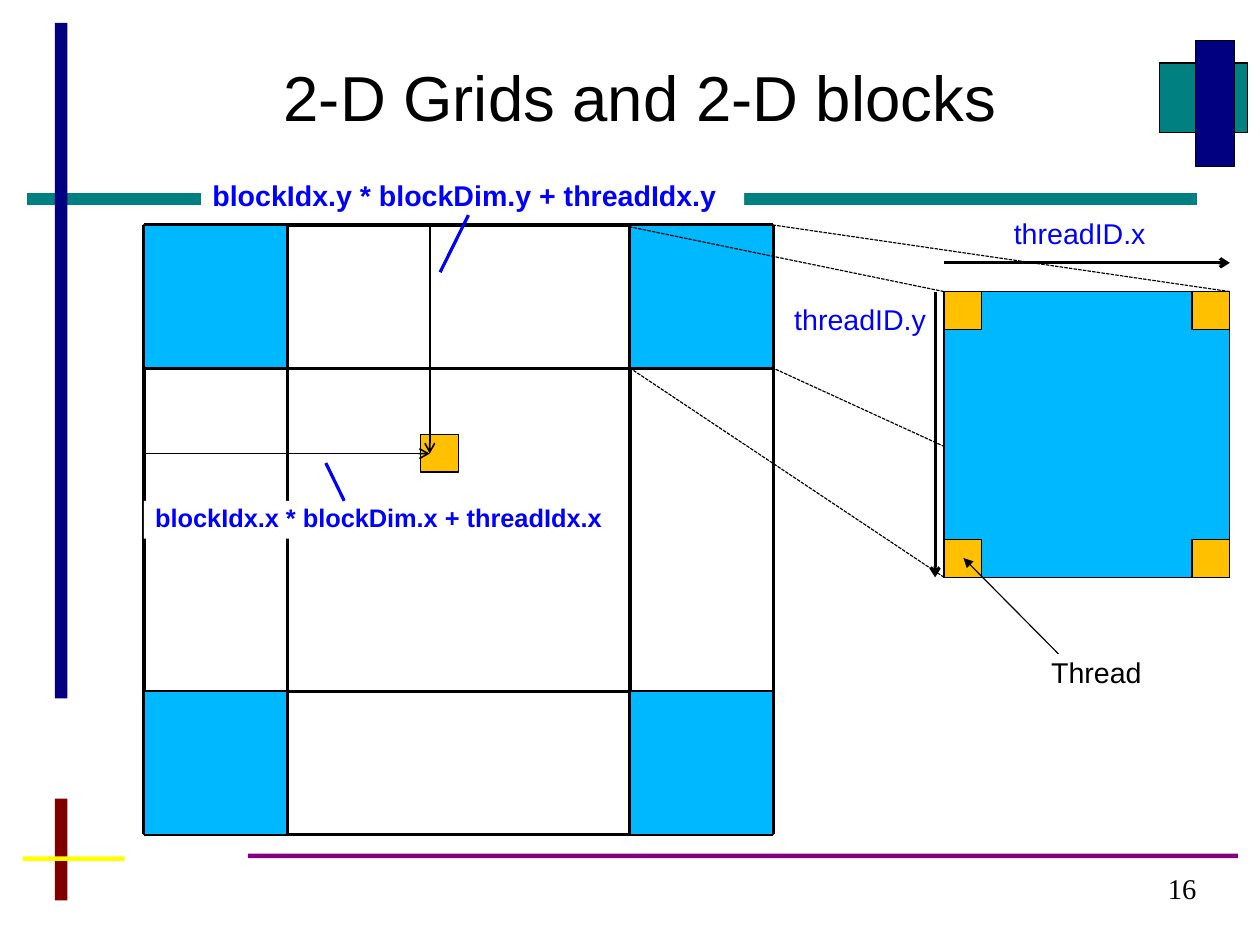
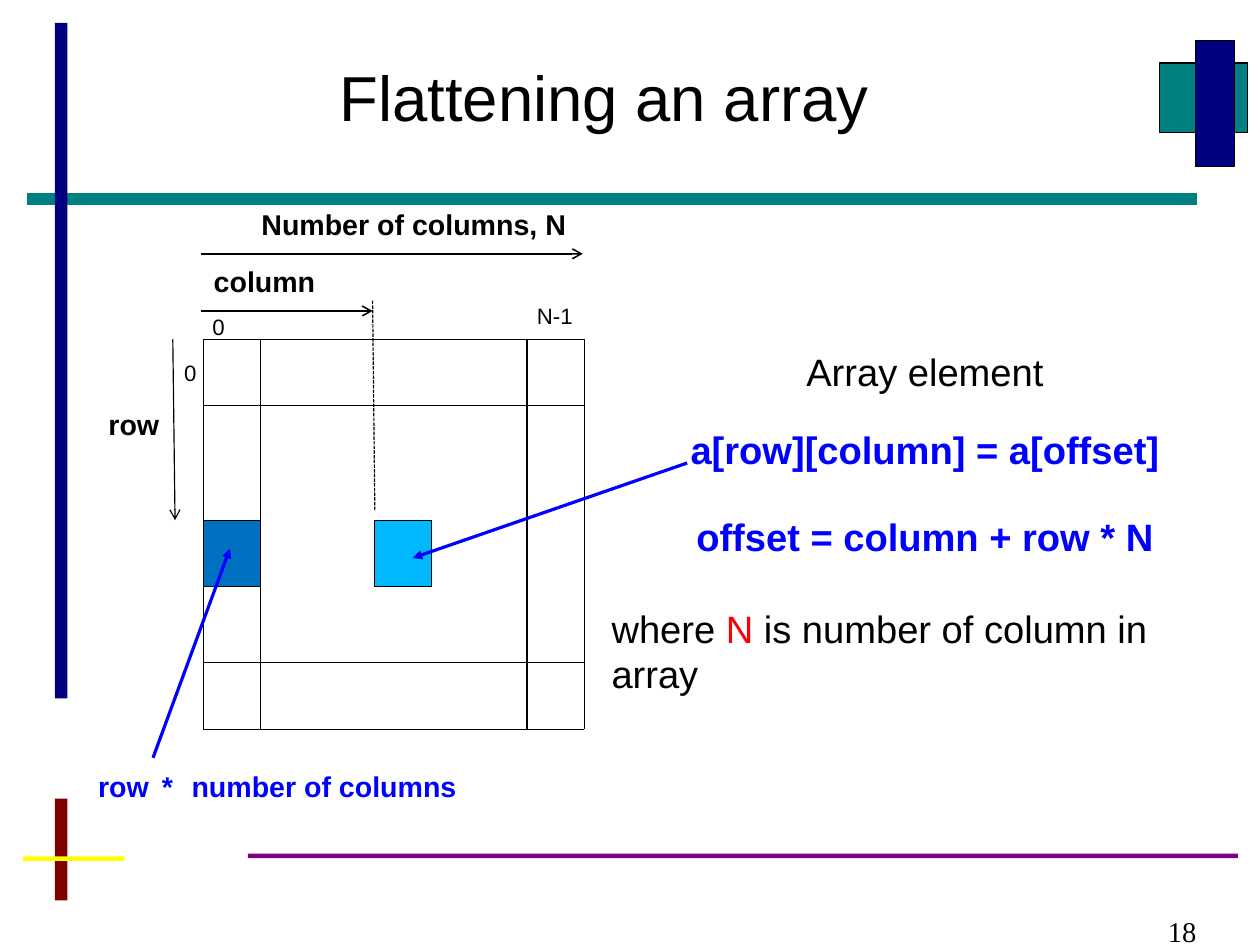
from dataclasses import dataclass
from itertools import product

from pptx import Presentation
from pptx.dml.color import RGBColor
from pptx.enum.dml import MSO_LINE_DASH_STYLE as Dash
from pptx.enum.shapes import MSO_CONNECTOR as Connector, MSO_SHAPE as Shape
from pptx.enum.text import MSO_ANCHOR as Anchor, MSO_AUTO_SIZE as AutoSize, PP_ALIGN as Align
from pptx.oxml.xmlchemy import OxmlElement
from pptx.util import Cm, Pt


@dataclass(frozen=True)
class Theme:
    black: str = "000000"
    white: str = "FFFFFF"
    teal: str = "008080"
    navy: str = "000080"
    maroon: str = "800000"
    yellow: str = "FFFF00"
    purple: str = "800080"
    blue: str = "0000FF"
    red: str = "FF0000"
    sky: str = "00B8FF"
    deep_sky: str = "0070C0"
    orange: str = "FFC000"
    font: str = "Arial"
    number_font: str = "Times New Roman"
    title: int = 40
    prose: int = 24
    label: int = 18
    formula: int = 16
    index: int = 14
    tight: float = 0.87


THEME = Theme()

# Line styles: colour, width, dash, arrowhead
LINES = {
    "band": (THEME.teal, 7.2, None, None),
    "heavy": (THEME.black, 2, None, None),
    "thin": (THEME.black, 0.75, None, None),
    "zoom": (THEME.black, 0.75, Dash.SQUARE_DOT, None),
    "axis": (THEME.black, 2, None, "arrow"),
    "measure": (THEME.black, 1, None, "arrow"),
    "thin measure": (THEME.black, 0.75, None, "arrow"),
    "callout": (THEME.black, 0.75, None, "triangle"),
    "pointer": (THEME.blue, 2, None, None),
    "blue callout": (THEME.blue, 2, None, "triangle"),
}

# All places below are in centimetres: left, top, width, height
BAND = ((0.6, 4.42), (26.6, 4.42))
CORNER_BOXES = [
    ((25.76, 1.4, 1.96, 1.55), THEME.teal),
    ((26.57, 0.91, 0.86, 2.79), THEME.navy),
]
BARS = [
    ((1.22, 0.51, 0.28, 15.01), THEME.navy),
    ((1.22, 17.75, 0.28, 2.26), THEME.maroon),
    ((0.51, 19.03, 2.26, 0.1), THEME.yellow),
    ((5.51, 18.97, 22, 0.1), THEME.purple),
]

GRID = (3.2, 5, 13.98, 13.54)
BLOCK = 3.18
ZOOMED_BLOCK = (20.98, 6.48, 6.35, 6.35)
THREAD = 0.84
ZOOM_BEHIND = [
    ("zoom", (27.33, 6.48), (17.18, 5)),
    ("zoom", (27.33, 12.83), (17.18, 8.18)),
]
GRID_LINES = [
    ("axis", (20.98, 5.84), (27.33, 5.84)),
    ("axis", (20.78, 6.48), (20.78, 12.83)),
    ("callout", (23.52, 14.53), (21.41, 12.4)),
    ("zoom", (20.98, 6.48), (13.8, 5)),
    ("zoom", (20.98, 12.83), (14, 8.18)),
]
THREAD_LINES = [
    ("measure", (3.2, 10.08), (9.55, 10.08)),
    ("measure", (9.55, 5), (9.55, 10.08)),
]
FORMULA_POINTERS = [
    ("pointer", (10.41, 4.78), (9.78, 6.05)),
    ("pointer", (7.65, 11.13), (7.24, 10.29)),
]
FORMULA = {"color": THEME.blue, "bold": True}
GRID_LABELS = [
    ("threadID.x", (22.28, 4.78, 4, 0.91), {"color": THEME.blue}),
    ("threadID.y", (17.4, 6.68, 3.6, 0.91), {"color": THEME.blue}),
    ("Thread", (23.11, 14.53, 3, 0.91), {}),
]
GRID_FORMULAS = [
    ("blockIdx.x * blockDim.x + threadIdx.x", (3.2, 11.13, 10.59, 0.84),
     {**FORMULA, "size": THEME.formula}),
    ("blockIdx.y * blockDim.y + threadIdx.y", (4.47, 3.94, 12.07, 0.91), FORMULA),
]

ARRAY = (4.52, 7.54, 8.46, 8.67)
ELEMENT_WIDTH, ELEMENT_HEIGHT = 1.27, 1.48
ELEMENTS = [
    ((8.33, 11.56, ELEMENT_WIDTH, ELEMENT_HEIGHT), THEME.sky),
    ((4.52, 11.56, ELEMENT_WIDTH, ELEMENT_HEIGHT), THEME.deep_sky),
]
ARRAY_LINES = [
    ("measure", (4.47, 5.64), (12.95, 5.64)),
    ("measure", (4.47, 6.91), (8.28, 6.91)),
    ("thin measure", (3.84, 7.54), (3.89, 11.56)),
    ("zoom", (8.28, 6.68), (8.33, 11.35)),
    ("blue callout", (15.27, 10.29), (9.17, 12.4)),
    ("blue callout", (3.4, 16.84), (5.11, 12.19)),
]
BOLD = {"bold": True}
INDEX = {"size": THEME.index}
ARRAY_LABELS = [
    ("Number of columns, N", (5.56, 4.57, 8, 0.91), BOLD),
    ("column", (4.5, 5.84, 3.5, 0.91), BOLD),
    ("row", (2.16, 9.02, 2, 0.91), BOLD),
    ("0", (4.47, 6.91, 0.9, 0.79), INDEX),
    ("0", (3.84, 7.95, 0.9, 0.79), INDEX),
    ("N-1", (11.68, 6.68, 1.6, 0.79), INDEX),
]
ROW_OFFSET_BOX = (1.93, 17.07, 12, 0.91)
ROW_OFFSET = [("row", FORMULA), (" * ", {**FORMULA, "tracking": 3.3}),
              ("number of columns", FORMULA)]
PROSE_BOX = (13.34, 7.75, 14.43, 8.74)
# Paragraphs: spans, paragraph format
PROSE = [
    ([("Array element", {})], {"alignment": Align.CENTER}),
    ([("a[row][column] = a[offset]", FORMULA)],
     {"alignment": Align.CENTER, "space_before": Pt(24)}),
    ([("offset = column + row * N", FORMULA)],
     {"alignment": Align.CENTER, "space_before": Pt(26), "line_spacing": 1.0}),
    ([("where ", {}), ("N", {"color": THEME.red}), (" is number of column in array", {})],
     {"space_before": Pt(29), "line_spacing": 1.0}),
]


def cm(values):
    return [Cm(value) for value in values]


def edges(start, size, cell):
    """Grid lines that set off one cell at either end of a span."""
    return [start, start + cell, start + size - cell, start + size]


def add_line(page, style, start, end):
    color, width, dash, arrowhead = LINES[style]
    line = page.shapes.add_connector(Connector.STRAIGHT, *cm(start + end))
    line.line.color.rgb = RGBColor.from_string(color)
    line.line.width = Pt(width)
    if dash:
        line.line.dash_style = dash
    if arrowhead:
        tail = OxmlElement("a:tailEnd")
        tail.set("type", arrowhead)
        line.line._get_or_add_ln().append(tail)
    line.element.spPr.append(OxmlElement("a:effectLst"))
    return line


def add_lines(page, lines):
    for line in lines:
        add_line(page, *line)


def add_box(page, place, fill, kind=Shape.RECTANGLE):
    """A filled box; rectangles get a thin black outline."""
    box = page.shapes.add_shape(kind, *cm(place))
    box.shadow.inherit = False
    box.fill.solid()
    box.fill.fore_color.rgb = RGBColor.from_string(fill)
    if kind == Shape.RECTANGLE:
        box.line.color.rgb = RGBColor.from_string(THEME.black)
        box.line.width = Pt(0.75)
    else:
        box.adjustments[0] = 0.02
        box.line.fill.background()
    return box


def add_corners(page, place, cell, fill):
    left, top, width, height = place
    for x, y in product((left, left + width - cell), (top, top + height - cell)):
        add_box(page, (x, y, cell, cell), fill)


def add_grid(page, place, cell_width, cell_height, style):
    left, top, width, height = place
    columns, rows = edges(left, width, cell_width), edges(top, height, cell_height)
    add_lines(page, [(style, (left, y), (left + width, y)) for y in rows])
    add_lines(page, [(style, (x, top), (x, top + height)) for x in columns])


def write(frame, paragraphs, size=THEME.label):
    frame.auto_size = AutoSize.NONE
    frame.word_wrap = True
    frame.vertical_anchor = Anchor.TOP
    for index, (spans, layout) in enumerate(paragraphs):
        para = frame.add_paragraph() if index else frame.paragraphs[0]
        for name, value in {"alignment": Align.LEFT, "line_spacing": THEME.tight, **layout}.items():
            setattr(para, name, value)
        for text, style in spans:
            span = para.add_run()
            span.text = text
            formats = {"name": style.get("font", THEME.font),
                       "size": Pt(style.get("size", size)),
                       "bold": style.get("bold", False)}
            for name, value in formats.items():
                setattr(span.font, name, value)
            span.font.color.rgb = RGBColor.from_string(style.get("color", THEME.black))
            if "tracking" in style:
                span._r.get_or_add_rPr().set("spc", str(round(style["tracking"] * 100)))


def add_text(page, place, paragraphs, size=THEME.label, fill=None):
    box = page.shapes.add_textbox(*cm(place))
    if fill:
        box.fill.solid()
        box.fill.fore_color.rgb = RGBColor.from_string(fill)
    write(box.text_frame, paragraphs, size)
    return box


def add_labels(page, labels, fill=None):
    for text, place, style in labels:
        add_text(page, place, [([(text, style)], {})], fill=fill)


def decorate(layout, page):
    """Build the shared bands on a page, then move them to its layout."""
    parts = [add_line(page, "band", *BAND)]
    parts += [add_box(page, place, fill) for place, fill in CORNER_BOXES]
    parts += [add_box(page, place, fill, Shape.ROUNDED_RECTANGLE) for place, fill in BARS]
    for part in parts:
        layout.shapes.element.append(part.element)


def set_heading(page, title, left, width, number, number_top):
    heading = page.shapes.title
    heading.left, heading.top, heading.width, heading.height = cm((left, 1.4, width, 1.73))
    write(heading.text_frame, [([(title, {})], {})], THEME.title)
    number_box = add_text(page, (22.25, number_top, 4.34, 0.6), [
        ([(number, {"font": THEME.number_font})],
         {"alignment": Align.RIGHT, "line_spacing": 0.93})])
    for side in ("left", "top", "right", "bottom"):
        setattr(number_box.text_frame, f"margin_{side}", 0)


def build_grid_page(page):
    set_heading(page, "2-D Grids and 2-D blocks", 6.05, 17.5, "16", 19.43)
    add_lines(page, ZOOM_BEHIND)
    add_grid(page, GRID, BLOCK, BLOCK, "heavy")
    add_corners(page, GRID, BLOCK, THEME.sky)
    add_box(page, ZOOMED_BLOCK, THEME.sky)
    add_corners(page, ZOOMED_BLOCK, THREAD, THEME.orange)
    add_lines(page, GRID_LINES)
    add_labels(page, GRID_LABELS)
    add_box(page, (9.35, 9.65, THREAD, THREAD), THEME.orange)
    add_lines(page, THREAD_LINES)
    add_labels(page, GRID_FORMULAS, THEME.white)
    add_lines(page, FORMULA_POINTERS)


def build_array_page(page):
    set_heading(page, "Flattening an array", 7.29, 14, "18", 20.37)
    add_grid(page, ARRAY, ELEMENT_WIDTH, ELEMENT_HEIGHT, "thin")
    for place, fill in ELEMENTS:
        add_box(page, place, fill)
    add_lines(page, ARRAY_LINES)
    add_labels(page, ARRAY_LABELS)
    add_text(page, ROW_OFFSET_BOX, [(ROW_OFFSET, {})])
    add_text(page, PROSE_BOX, PROSE, THEME.prose)


def main():
    deck = Presentation()
    deck.slide_width, deck.slide_height = cm((28, 21))
    layout = deck.slide_layouts.get_by_name("Title Only")
    grid_page, array_page = [deck.slides.add_slide(layout) for _ in range(2)]
    decorate(layout, grid_page)
    build_grid_page(grid_page)
    build_array_page(array_page)
    deck.save("out.pptx")


if __name__ == "__main__":
    main()
